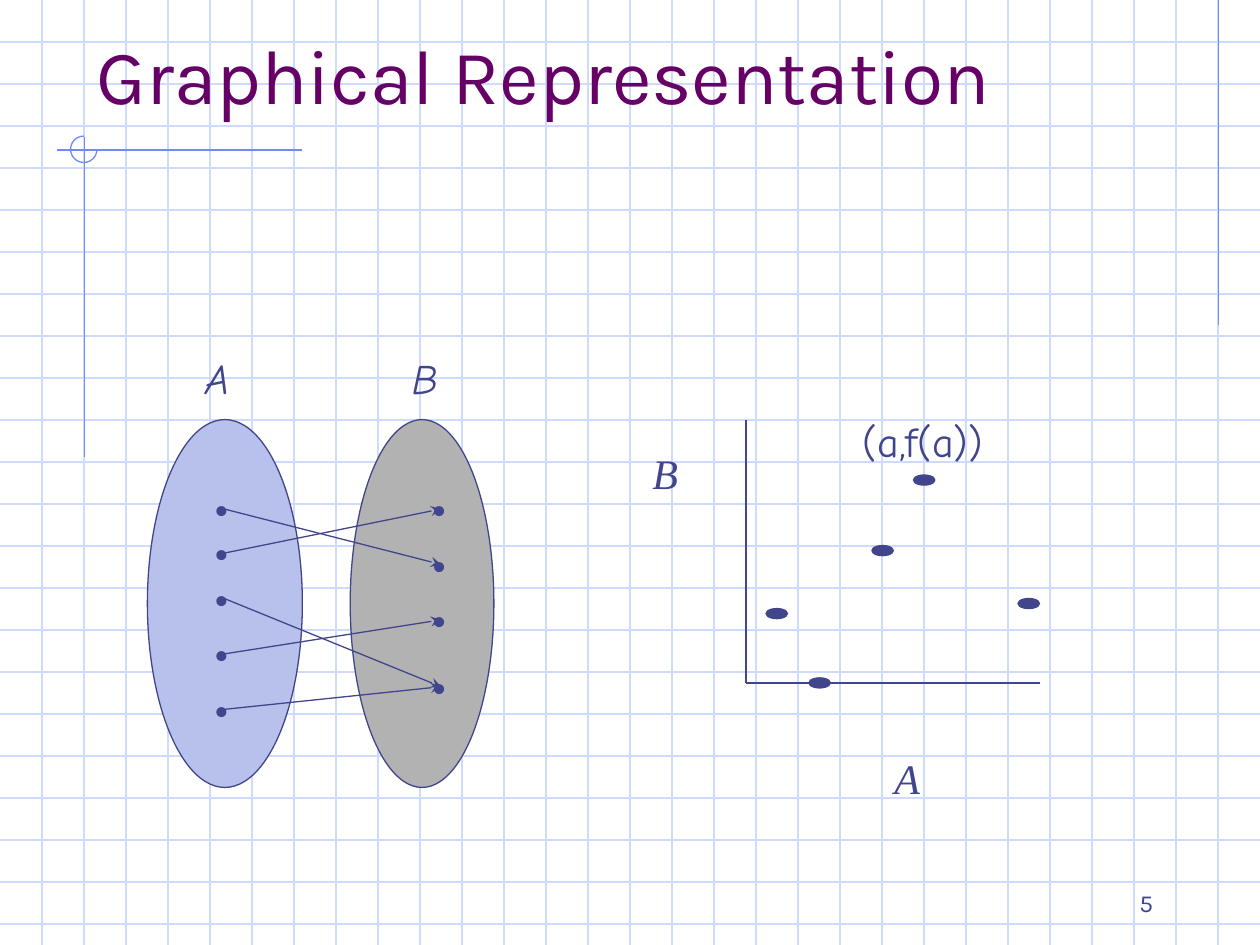
from pptx import Presentation
from pptx.dml.color import RGBColor
from pptx.enum.shapes import MSO_CONNECTOR, MSO_SHAPE
from pptx.enum.text import MSO_ANCHOR, PP_ALIGN
from pptx.util import Inches, Pt
from lxml import etree

LINE, OVAL, ARC = MSO_CONNECTOR.STRAIGHT, MSO_SHAPE.OVAL, MSO_SHAPE.ARC
TOP, MID, LOW = MSO_ANCHOR.TOP, MSO_ANCHOR.MIDDLE, MSO_ANCHOR.BOTTOM
LEFT, MID_X, RIGHT = PP_ALIGN.LEFT, PP_ALIGN.CENTER, PP_ALIGN.RIGHT
NS = "http://schemas.openxmlformats.org/drawingml/2006/main"

WIDE, HIGH, STEP = 10, 7.5, 1 / 3
COLORS = {"grid": "CFDBFD", "trim": "6F89F7", "ink": "40458C",
          "title": "660066", "set_a": "B7C1EB", "set_b": "B2B2B2"}
SANS, HAND, SERIF = "Karla", "Comic Neue", "Times New Roman"

TRIM = [(9.67, 0, 9.67, 2.58), (2.4, 1.19, 0.45, 1.19), (0.67, 1.09, 0.67, 3.63)]
AXES = [(5.92, 5.42, 8.25, 5.42), (5.92, 5.42, 5.92, 3.33)]
SETS = [("set_a", 1.17, 3.33, 1.23, 2.92), ("set_b", 2.78, 3.33, 1.14, 2.92)]
FROM_Y = [4.04, 4.39, 4.75, 5.19, 5.63]
TO_Y = [4.04, 4.48, 4.92, 5.45]
DOTS = [(1.6, FROM_Y), (3.33, TO_Y)]
MAPS = [(0, 1), (4, 3), (1, 0), (2, 3), (3, 2)]
POINTS = [(7.25, 3.77), (6.42, 5.38), (6.92, 4.33), (6.08, 4.83), (8.08, 4.75)]
LABELS = [
    ("A", 1.53, 2.75, 0.39, HAND, True, TOP, LEFT, False),
    ("B", 3.17, 2.75, 0.4, HAND, True, TOP, LEFT, False),
    ("A", 7, 5.92, 0.4, SERIF, True, MID, MID_X, False),
    ("B", 5.08, 3.5, 0.67, SERIF, True, TOP, LEFT, True),
    ("(a,f(a))", 6.75, 3.25, 1.42, HAND, False, TOP, LEFT, True),
]

prs = Presentation()
prs.slide_width, prs.slide_height = Inches(WIDE), Inches(HIGH)
slide = prs.slides.add_slide(prs.slide_layouts[6])
shapes = slide.shapes


def rgb(name):
    return RGBColor.from_string(COLORS[name])


def add_line(ends, color, arrow=False):
    line = shapes.add_connector(LINE, *[Inches(v) for v in ends])
    line.line.color.rgb = rgb(color)
    line.line.width = Pt(0.75)
    if arrow:
        etree.SubElement(line.line._get_or_add_ln(), f"{{{NS}}}tailEnd", type="stealth")
    etree.SubElement(line._element.spPr, f"{{{NS}}}effectLst")


def add_form(kind, box, edge, fill=None):
    form = shapes.add_shape(kind, *[Inches(v) for v in box])
    form.shadow.inherit = False
    form.line.color.rgb = rgb(edge)
    form.line.width = Pt(0.75)
    if fill:
        form.fill.solid()
        form.fill.fore_color.rgb = rgb(fill)
    else:
        form.fill.background()
    return form


def add_text(text, box, font, size=24, color="ink", italic=False,
             anchor=TOP, align=LEFT, wrap=True):
    frame = shapes.add_textbox(*[Inches(v) for v in box]).text_frame
    frame.text = text
    frame.word_wrap = wrap
    frame.vertical_anchor = anchor
    para = frame.paragraphs[0]
    para.alignment = align
    style = para.runs[0].font
    style.name, style.size, style.italic = font, Pt(size), italic
    style.color.rgb = rgb(color)


for i in range(1, int(HIGH / STEP) + 1):
    add_line((0, i * STEP, WIDE, i * STEP), "grid")
for i in range(1, round(WIDE / STEP)):
    add_line((i * STEP, 0, i * STEP, HIGH), "grid")
for ends in TRIM:
    add_line(ends, "trim")
arc = add_form(ARC, (0.56, 1.08, 0.21, 0.21), "trim")
arc.adjustments[0] = 0
arc.adjustments[1] = 162

add_text("5", (7.17, 7.08, 2.08, 0.25), SANS, 14, anchor=LOW, align=RIGHT)
add_text("Graphical Representation", (0.67, 0.33, 9, 0.67), SANS, 44, "title", anchor=LOW)

for fill, *box in SETS:
    add_form(OVAL, box, "ink", fill)
for x, rows in DOTS:
    for y in rows:
        add_text("•", (x, y - 0.25, 0.31, 0.5), SERIF, anchor=MID, align=MID_X, wrap=False)
for a, b in MAPS:
    add_line((1.78, FROM_Y[a], 3.5, TO_Y[b]), "ink", arrow=True)

for ends in AXES:
    add_line(ends, "ink")
for x, y in POINTS:
    add_form(OVAL, (x, y, 0.17, 0.08), "ink", "ink")
for text, x, y, w, font, italic, anchor, align, wrap in LABELS:
    add_text(text, (x, y, w, 0.5), font, italic=italic, anchor=anchor, align=align, wrap=wrap)

prs.save("out.pptx")
